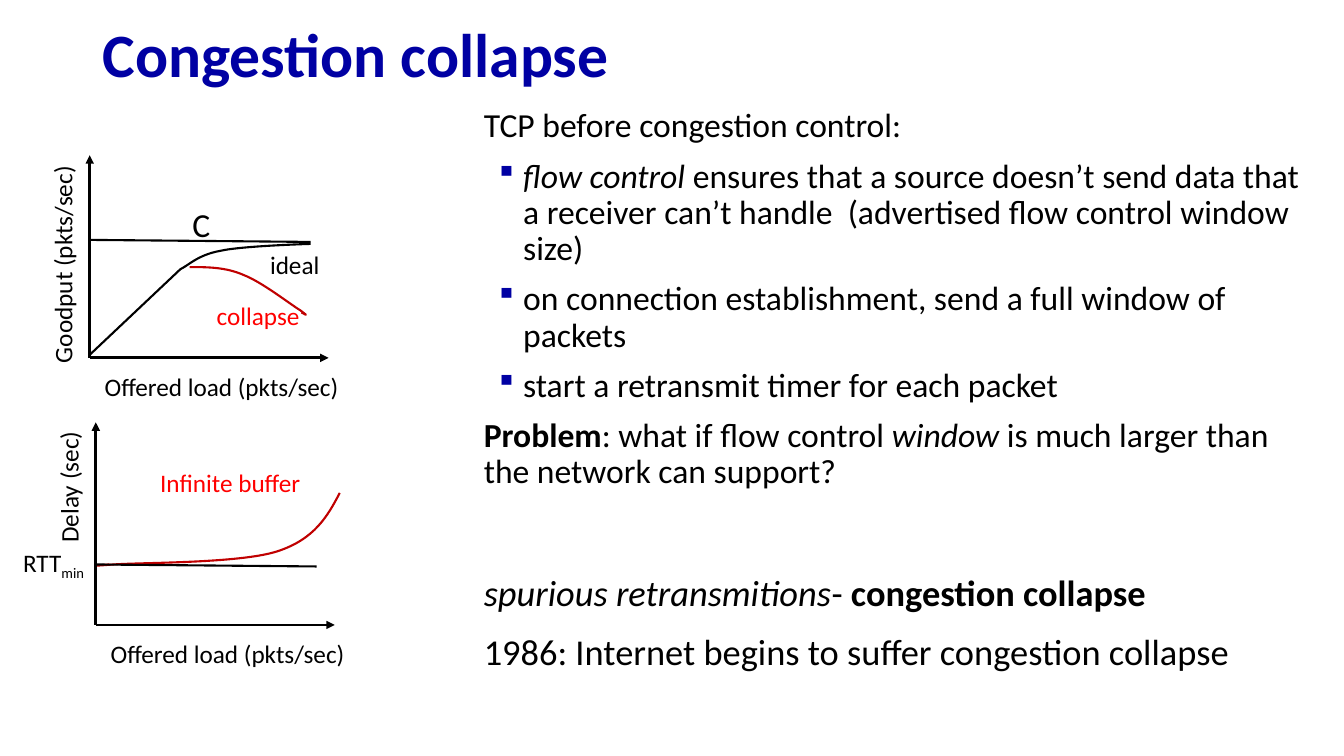
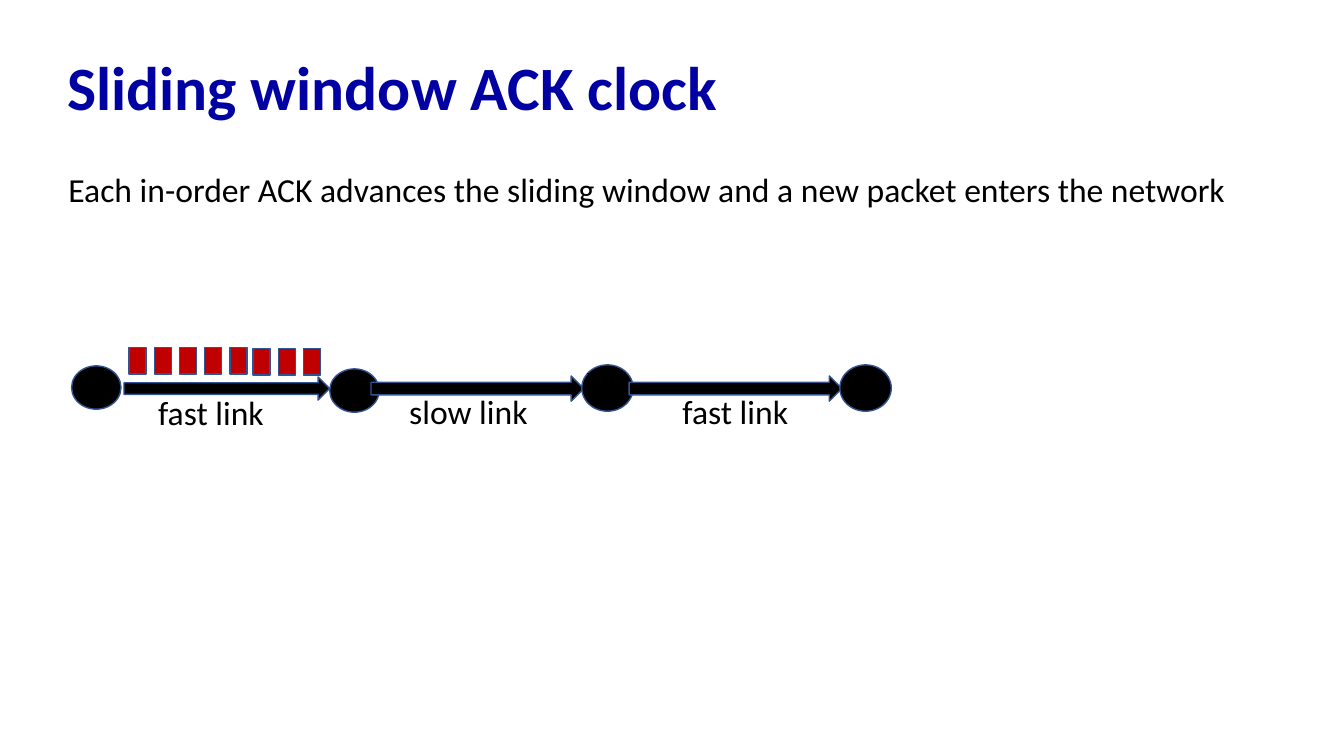
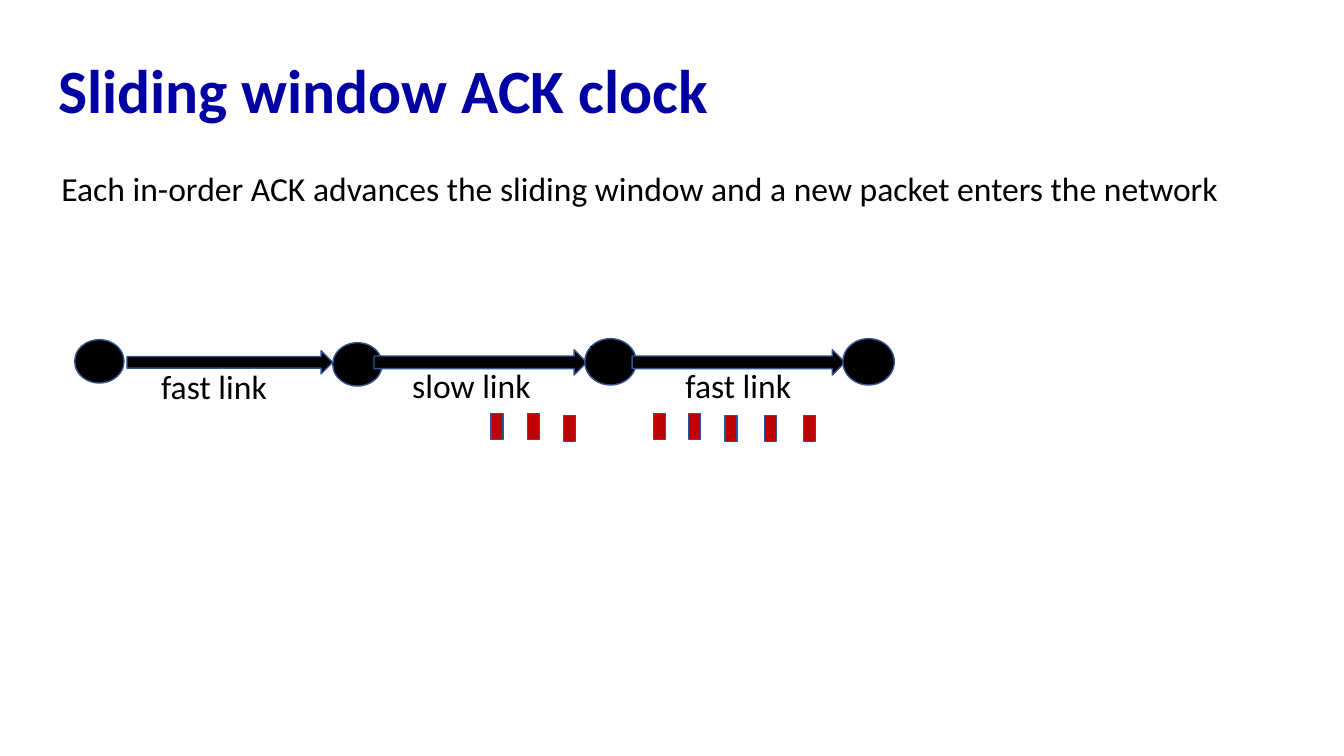
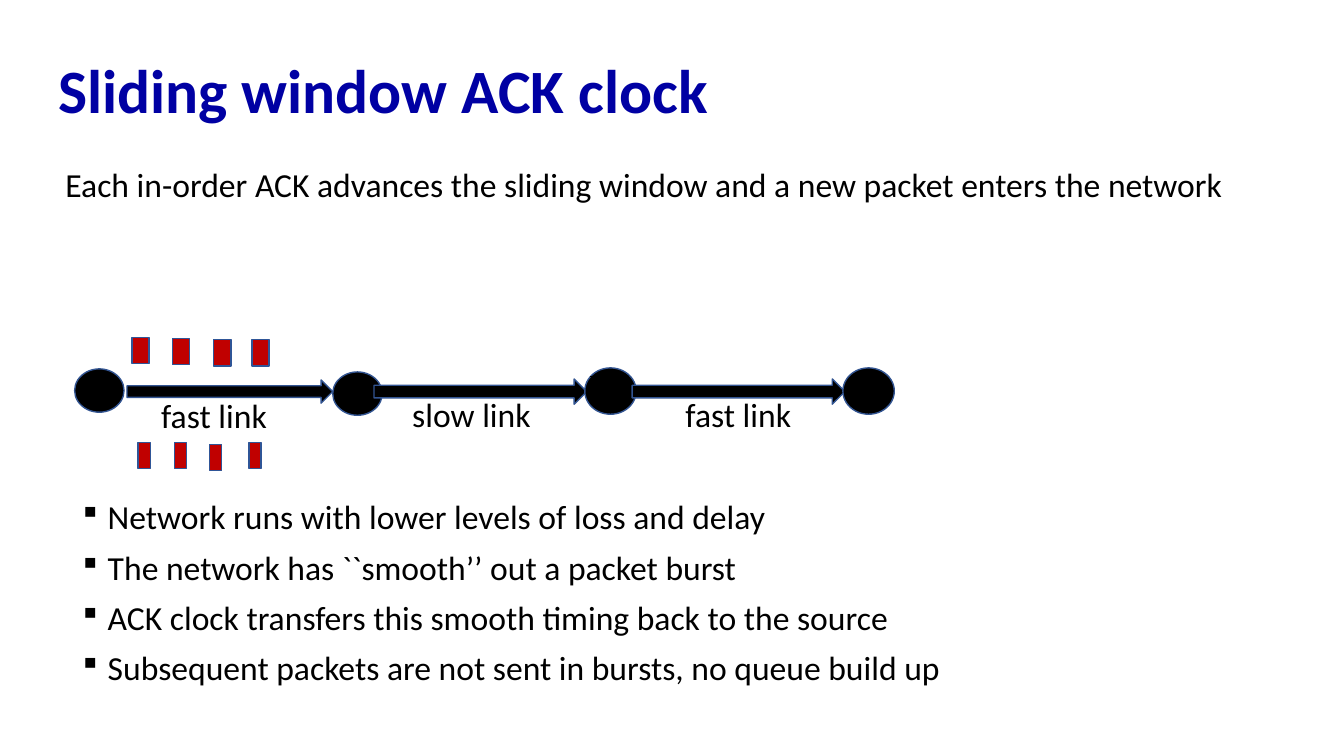
from lxml.etree import SubElement
from pptx import Presentation
from pptx.dml.color import RGBColor
from pptx.enum.shapes import MSO_CONNECTOR as Connector, MSO_SHAPE as Shape
from pptx.enum.text import MSO_ANCHOR as Anchor
from pptx.oxml.ns import qn
from pptx.util import Inches, Pt

FONT = "Calibri"
BULLET_FONT, BULLET = "Wingdings", "§"
BLACK = RGBColor(0x00, 0x00, 0x00)
NAVY = RGBColor(0x00, 0x00, 0xA3)
RED = RGBColor(0xFF, 0x00, 0x00)
DARK_RED = RGBColor(0xC0, 0x00, 0x00)
LINK_EDGE = RGBColor(0x32, 0x54, 0x91)
PACKET_EDGE = RGBColor(0x2F, 0x55, 0x97)

CONTROL_TEXT = [
    (False, [("TCP before congestion control:", "")]),
    (True, [("flow control ", "i"),
            ("ensures that a source doesn’t send data that a receiver can’t handle  "
             "(advertised flow control window size)", "")]),
    (True, [("on connection establishment, send a full window of packets", "")]),
    (True, [("start a retransmit timer for each packet", "")]),
    (False, [("Problem", "b"), (": what if flow control ", ""), ("window", "i"),
             (" is much larger than the network can support?", "")]),
]
COLLAPSE_TEXT = [
    (False, [("spurious retransmitions", "i"), ("- ", ""), ("congestion collapse", "b")]),
    (False, [("1986: Internet begins to suffer congestion collapse", "")]),
]
CLOCK_TEXT = [(False, [("Each in-order ACK advances the sliding window and "
                        "a new packet enters the network", "")])]
RESULT_TEXT = [(True, [(line, "")]) for line in (
    "Network runs with lower levels of loss and delay",
    "The network has ``smooth’’ out a packet burst",
    "ACK clock transfers this smooth timing back to the source",
    "Subsequent packets are not sent in bursts, no queue build up",
)]

AXIS_ORIGINS = [(0.89, 3.55), (0.95, 6.2)]
AXIS_LENGTH, AXIS_HEIGHT = 2.37, 2.01
LEVEL_STARTS = [(0.9, 2.38), (0.96, 5.6)]
GRAPH_LABELS = [
    ("C", (1.81, 1.97, 0.52, 0.5), 24, BLACK, 0),
    ("Goodput (pkts/sec)", (-0.76, 2.12, 2.76, 0.4), 18, BLACK, 270),
    ("ideal", (2.58, 2.42, 1.04, 0.4), 18, BLACK, 0),
    ("collapse", (2.05, 2.93, 1.04, 0.4), 18, RED, 0),
    ("Infinite buffer", (1.49, 4.59, 1.95, 0.4), 18, RED, 0),
    ("Delay (sec)", (-0.7, 3.9, 2.76, 0.4), 18, BLACK, 270),
]
CURVES = [
    (BLACK, [(0.89, 3.52), (1.79, 2.67)],
     [(1.86, 2.64), (1.96, 2.53), (2.18, 2.49),
      (2.39, 2.44), (3.08, 2.42), (3.08, 2.42)]),
    (DARK_RED, [(1.88, 2.65)],
     [(2.06, 2.65), (2.24, 2.65), (2.42, 2.73),
      (2.6, 2.8), (2.88, 3.02), (2.98, 3.08),
      (3.07, 3.15), (3.03, 3.12), (2.99, 3.1)]),
    (DARK_RED, [(3.37, 4.89)],
     [(3.25, 5.12), (3.12, 5.35), (2.75, 5.47),
      (2.38, 5.59), (1.41, 5.58), (1.13, 5.6),
      (0.86, 5.62), (0.97, 5.61), (1.08, 5.6)]),
]

CHAIN = [
    (Shape.OVAL, (0.71, 3.63, 0.49, 0.43)),
    (Shape.RIGHT_ARROW, (1.23, 3.74, 2.04, 0.23)),
    (Shape.OVAL, (3.27, 3.66, 0.49, 0.43)),
    (Shape.RIGHT_ARROW, (3.68, 3.73, 2.11, 0.25)),
    (Shape.OVAL, (5.77, 3.62, 0.51, 0.46)),
    (Shape.RIGHT_ARROW, (6.24, 3.73, 2.11, 0.25)),
    (Shape.OVAL, (8.33, 3.62, 0.51, 0.46)),
]
LINK_LABELS = [("fast link", 1.47, 3.84), ("fast link", 6.67, 3.83), ("slow link", 3.96, 3.83)]
NODE_MARKS = [(6.2, 3.7), (8.78, 3.72)]
MARK_LENGTH = 0.38
PACKET_HEIGHT = 0.26
WIDE, NARROW = 0.17, 0.12

CLOCK_SLIDES = [
    {"title": (0.57, 0.38, 11.5, 1.04), "body": (0.58, 1.67, 11.97, 1.19), "shift": (0, 0),
     "packets": [(WIDE, 3.45, [1.28 + 0.25 * i for i in range(5)]),
                 (WIDE, 3.46, [2.51 + 0.25 * i for i in range(3)])]},
    {"title": (0.48, 0.2, 11.5, 1.45), "body": (0.51, 1.66, 12.14, 4.76), "shift": (0.03, -0.26),
     "packets": [(NARROW, 4.1, [4.87, 5.23, 6.48, 6.83]),
                 (NARROW, 4.12, [5.59, 7.19, 7.58, 7.97])]},
    {"title": (0.48, 0.2, 11.5, 1.45), "body": (0.55, 1.62, 12.12, 4.76), "shift": (0.03, 0.03),
     "packets": [(NARROW, 4.39, [1.37, 1.73, 2.47]), (NARROW, 4.41, [2.08]),
                 (WIDE, 3.35, [1.31]), (WIDE, 3.36, [1.71]), (WIDE, 3.37, [2.12, 2.5])],
     "results": (0.72, 4.92, 12.12, 2.21)},
]


def inches(values):
    return [Inches(value) for value in values]


def set_bullet(para, indent, hang, color):
    props = para._p.get_or_add_pPr()
    props.set("marL", str(Inches(indent)))
    props.set("indent", str(-Inches(hang)))
    fill = SubElement(SubElement(props, qn("a:buClr")), qn("a:srgbClr"))
    fill.set("val", str(color))
    SubElement(props, qn("a:buFont")).set("typeface", BULLET_FONT)
    SubElement(props, qn("a:buChar")).set("char", BULLET)


def add_text(page, area, lines, size, color=BLACK, bullet=(0.25, 0.25, BLACK), gap=10, spacing=0.9):
    box = page.shapes.add_textbox(*inches(area))
    frame = box.text_frame
    frame.word_wrap = True
    for index, (bulleted, spans) in enumerate(lines):
        para = frame.paragraphs[0] if index == 0 else frame.add_paragraph()
        if bulleted:
            set_bullet(para, *bullet)
        para.line_spacing = spacing
        if index:
            para.space_before = Pt(gap)
        for text, style in spans:
            span = para.add_run()
            span.text = text
            font = span.font
            font.name, font.size = FONT, Pt(size)
            font.color.rgb = color
            font.bold, font.italic = "b" in style, "i" in style
            if "s" in style:
                span._r.get_or_add_rPr().set("baseline", "-25000")
    return box


def add_label(page, text, area, size, color=BLACK, rotation=0):
    box = add_text(page, area, [(False, [(text, "")])], size, color, spacing=1.0)
    box.rotation = rotation


def add_title(page, text, area):
    box = add_text(page, area, [(False, [(text, "b")])], 44, NAVY)
    box.text_frame.vertical_anchor = Anchor.MIDDLE


def add_line(page, start, end, width, arrow=False):
    line = page.shapes.add_connector(Connector.STRAIGHT, *inches(start + end))
    line.line.color.rgb = BLACK
    line.line.width = Pt(width)
    if arrow:
        SubElement(line.line._get_or_add_ln(), qn("a:tailEnd")).set("type", "triangle")
    SubElement(line._element.spPr, qn("a:effectLst"))


def add_block(page, kind, area, fill, edge):
    block = page.shapes.add_shape(kind, *inches(area))
    block.shadow.inherit = False
    block.fill.solid()
    block.fill.fore_color.rgb = fill
    block.line.color.rgb = edge
    block.line.width = Pt(1)


def add_curve(page, color, straight, bends):
    start, *rest = [inches(point) for point in straight + bends]
    builder = page.shapes.build_freeform(*start)
    builder.add_line_segments(rest, close=False)
    curve = builder.convert_to_shape()
    steps = list(curve._element.iter(qn("a:lnTo")))[len(straight) - 1:]
    outline = steps[0].getparent()
    for index in range(0, len(steps), 3):
        bend = SubElement(outline, qn("a:cubicBezTo"))
        for step in steps[index:index + 3]:
            bend.append(step[0])
            outline.remove(step)
    curve.shadow.inherit = False
    curve.fill.background()
    curve.line.color.rgb = color
    curve.line.width = Pt(1.5)


def draw_collapse(page):
    add_title(page, "Congestion collapse", (0.92, 0.14, 12.08, 0.87))
    add_text(page, (4.7, 1.03, 8.38, 4), CONTROL_TEXT, 24, bullet=(0.39, 0.24, NAVY))
    add_text(page, (4.7, 5.66, 8.38, 1.2), COLLAPSE_TEXT, 26, gap=14)
    for curve in CURVES:
        add_curve(page, *curve)
    for (x, y), (left, level) in zip(AXIS_ORIGINS, LEVEL_STARTS):
        add_line(page, (x, y), (x + AXIS_LENGTH, y), 2, arrow=True)
        add_line(page, (x, y), (x, y - AXIS_HEIGHT), 2, arrow=True)
        add_line(page, (left, level), (left + 2.18, level + 0.02), 1.5)
        add_label(page, "Offered load (pkts/sec)", (x + 0.05, y + 0.08, 2.54, 0.4), 18)
    for label in GRAPH_LABELS:
        add_label(page, *label)
    add_text(page, (0.13, 5.38, 0.95, 0.4), [(False, [("RTT", ""), ("min", "s")])], 18, spacing=1.0)


def draw_clock(page, content):
    add_title(page, "Sliding window ACK clock", content["title"])
    add_text(page, content["body"], CLOCK_TEXT, 24)
    dx, dy = content["shift"]
    for kind, (left, top, width, height) in CHAIN:
        add_block(page, kind, (left + dx, top + dy, width, height), BLACK, LINK_EDGE)
    for text, left, top in LINK_LABELS:
        add_label(page, text, (left + dx, top + dy, 1.62, 0.5), 24)
    for x, y in NODE_MARKS:
        add_line(page, (x + dx, y + dy), (x + dx - MARK_LENGTH, y + dy), 0.5)
    for width, top, lefts in content["packets"]:
        for left in lefts:
            add_block(page, Shape.RECTANGLE, (left, top, width, PACKET_HEIGHT), DARK_RED, PACKET_EDGE)
    if "results" in content:
        add_text(page, content["results"], RESULT_TEXT, 24)


def main():
    deck = Presentation()
    deck.slide_width, deck.slide_height = Inches(13.33), Inches(7.5)
    blank = deck.slide_layouts[6]
    draw_collapse(deck.slides.add_slide(blank))
    for content in CLOCK_SLIDES:
        draw_clock(deck.slides.add_slide(blank), content)
    deck.save("out.pptx")


if __name__ == "__main__":
    main()
